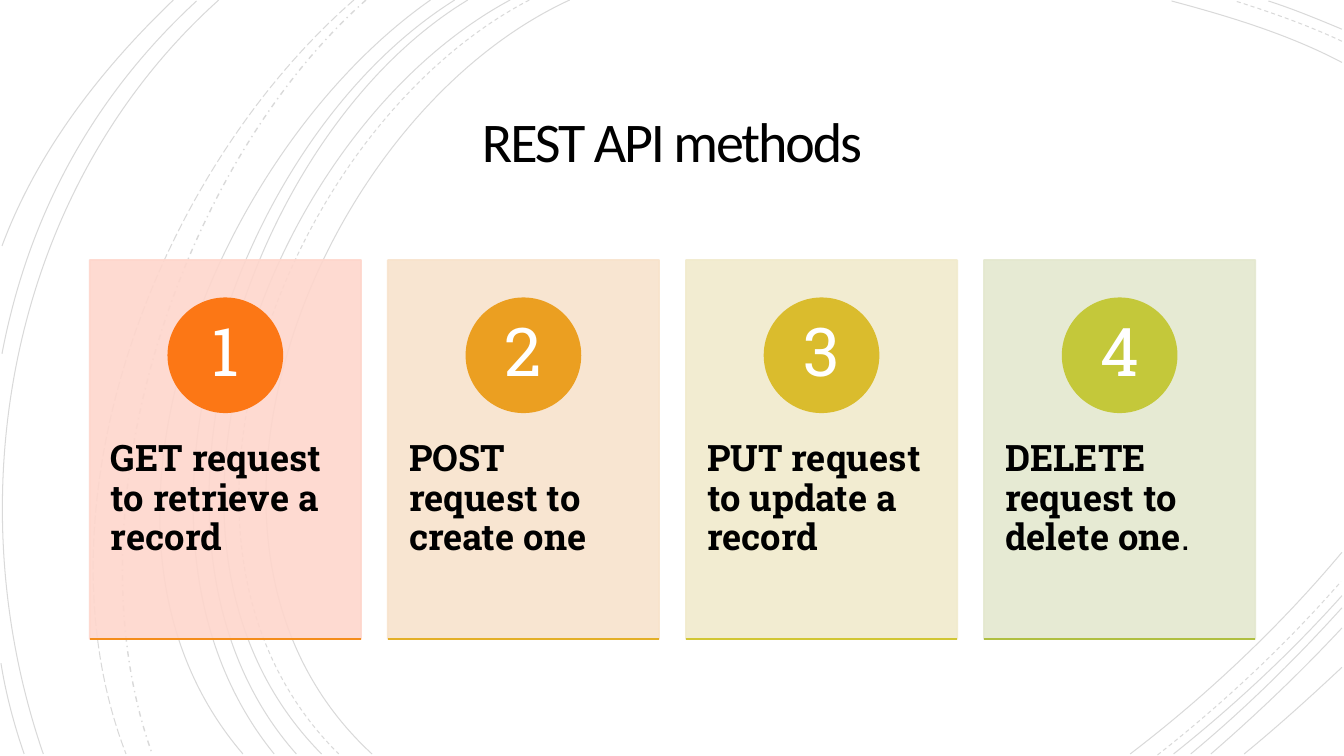
from lxml.etree import SubElement
from pptx import Presentation
from pptx.dml.color import RGBColor
from pptx.enum.dml import MSO_LINE
from pptx.enum.shapes import MSO_CONNECTOR, MSO_SHAPE
from pptx.enum.text import MSO_ANCHOR as Anchor, PP_ALIGN as Align
from pptx.oxml.ns import qn
from pptx.util import Inches, Pt

# Content
TITLE = "REST API methods"
# heading, closing text, card colour, circle colour, rule colour
CARDS = [
    ("GET request to retrieve a record", "", "FED6CC", "FC7715", "F48D1B"),
    ("POST request to create one", "", "F8E3CC", "EB9F21", "E3AF27"),
    ("PUT request to update a record", "", "F1EBCD", "DABC2D", "D1C634"),
    ("DELETE request to delete one", ".", "E4E8CF", "C4C83A", "AFBF41"),
]
# Bezier arcs by dash style: start, two control points, end
ARCS = {
    MSO_LINE.SOLID: [
        ((5.65, 0), (3.15, 1.15), (1.43, 5.4), (3.69, 7.48)),
        ((13.31, 0.62), (12.78, 0.34), (12.18, 0.16), (11.62, 0.01)),
        ((11.21, 7.48), (11.97, 6.9), (12.69, 6.22), (13.31, 5.48)),
        ((5.06, 0), (2.7, 1.27), (1.1, 5.37), (3.19, 7.48)),
        ((13.31, 0.29), (13.07, 0.19), (12.83, 0.09), (12.58, 0.01)),
        ((11.64, 7.48), (12.23, 7.01), (12.8, 6.48), (13.31, 5.91)),
        ((4.64, 0), (2.44, 1.33), (1.1, 5.41), (2.94, 7.48)),
        ((11.81, 7.48), (12.34, 7.04), (12.84, 6.55), (13.31, 6.03)),
        ((4.51, 0), (2.31, 1.38), (0.97, 5.33), (2.72, 7.48)),
        ((12.01, 7.48), (12.46, 7.09), (12.9, 6.67), (13.31, 6.23)),
        ((4.27, 0), (2.17, 1.47), (0.53, 5.29), (2.41, 7.48)),
        ((12.34, 7.48), (12.67, 7.21), (12.99, 6.92), (13.31, 6.62)),
        ((2.17, 0), (0.11, 1.85), (-0.46, 4.9), (0.43, 7.48)),
        ((1.95, 0.01), (0.92, 0.96), (0.28, 2.14), (0.02, 3.51)),
        ((0.01, 6.58), (0.06, 6.89), (0.14, 7.19), (0.24, 7.48)),
        ((1.72, 0), (1, 0.69), (0.37, 1.5), (0.02, 2.44)),
    ],
    MSO_LINE.DASH: [
        ((5.25, 0), (2.85, 1.25), (1.23, 5.37), (3.36, 7.48)),
        ((13.31, 0.41), (12.97, 0.25), (12.6, 0.12), (12.25, 0.01)),
        ((11.48, 7.49), (12.13, 6.98), (12.75, 6.4), (13.3, 5.77)),
    ],
    MSO_LINE.DASH_DOT: [((3.63, 0), (1.76, 1.66), (0.65, 5.09), (1.51, 7.48))],
    MSO_LINE.LONG_DASH: [((3.51, 0), (1.57, 1.69), (0.29, 4.99), (1.25, 7.48))],
}
THEME = {
    "ink": "000000", "paper": "FFFFFF",
    "title_font": "Calibri", "body_font": "Roboto Slab",
    "title": 40, "number": 48, "body": 26,
    "arc_line": 0.75, "dash_dot_line": 1, "card_line": 1.25,
    "arc_opacity": 15, "card_opacity": 90,
}

# Layout, in inches
SLIDE_WIDTH, SLIDE_HEIGHT = 13.33, 7.5
CARD_LEFT, CARD_TOP, CARD_WIDTH, CARD_HEIGHT = 0.89, 2.58, 2.69, 3.76
LAST_CARD_LEFT = 9.76
CARD_STEP = (LAST_CARD_LEFT - CARD_LEFT) / (len(CARDS) - 1)
CIRCLE_TOP, CIRCLE_SIZE = 2.96, 1.13
NUMBER_TOP, NUMBER_SIZE = 3.12, 0.8
TEXT_TOP, TEXT_HEIGHT = 4.01, 2.26

presentation = Presentation()
presentation.slide_width = Inches(SLIDE_WIDTH)
presentation.slide_height = Inches(SLIDE_HEIGHT)
slide = presentation.slides.add_slide(presentation.slide_layouts[6])
shapes = slide.shapes


def set_color(fill, color, opacity=100):
    fill.solid()
    fill.fore_color.rgb = RGBColor.from_string(color)
    if opacity < 100:
        for node in fill._xPr.iter(qn("a:srgbClr")):
            SubElement(node, qn("a:alpha"), val=str(opacity * 1000))


def set_line(line, color, width, opacity=100):
    line.width = Pt(width)
    set_color(line.fill, color, opacity)


def add_arc(points, dash):
    start, *others = [tuple(map(Inches, point)) for point in points]
    builder = shapes.build_freeform(*start)
    builder.add_line_segments(others, close=False)
    shape = builder.convert_to_shape()
    # Turn the three straight segments into one cubic curve
    outline = next(shape._element.iter(qn("a:path")))
    segments = outline.findall(qn("a:lnTo"))
    curve = SubElement(outline, qn("a:cubicBezTo"))
    for segment in segments:
        curve.append(segment[0])
        outline.remove(segment)
    shape.shadow.inherit = False
    shape.fill.background()
    width = THEME["dash_dot_line" if dash == MSO_LINE.DASH_DOT else "arc_line"]
    set_line(shape.line, THEME["ink"], width, THEME["arc_opacity"])
    shape.line.dash_style = dash


def add_block(kind, left, top, width, height, color, opacity=100, outlined=True):
    shape = shapes.add_shape(kind, *map(Inches, (left, top, width, height)))
    shape.shadow.inherit = False
    set_color(shape.fill, color, opacity)
    if outlined:
        set_line(shape.line, color, THEME["card_line"], opacity)
    else:
        shape.line.fill.background()


def add_text(text, left, top, width, height, *, size, font, color, bold=False, tail="",
             align=Align.LEFT, anchor=Anchor.TOP, insets=(0, 0), line_spacing=0.9,
             tracking=0):
    frame = shapes.add_textbox(*map(Inches, (left, top, width, height))).text_frame
    frame.word_wrap = True
    frame.vertical_anchor = anchor
    frame.margin_left = frame.margin_right = Inches(insets[0])
    frame.margin_top = frame.margin_bottom = Inches(insets[1])
    paragraph = frame.paragraphs[0]
    paragraph.alignment = align
    paragraph.line_spacing = line_spacing
    for part, weight in ((text, bold), (tail, False)):
        if not part:
            continue
        run = paragraph.add_run()
        run.text = part
        run.font.name, run.font.size, run.font.bold = font, Pt(size), weight
        run.font.color.rgb = RGBColor.from_string(color)
        if tracking:
            run.font._element.set("spc", str(round(tracking * 100)))


# Backdrop and arcs
add_block(MSO_SHAPE.RECTANGLE, 0, 0, SLIDE_WIDTH, SLIDE_HEIGHT, THEME["paper"],
          outlined=False)
for dash, arcs in ARCS.items():
    for points in arcs:
        add_arc(points, dash)

# Title
add_text(TITLE, 1.92, 0.87, 9.49, 1.15, size=THEME["title"], font=THEME["title_font"],
         color=THEME["ink"], align=Align.CENTER, anchor=Anchor.MIDDLE,
         insets=(0.25, 0.25), line_spacing=0.85, tracking=-1.5)

# Numbered cards
for index, (heading, tail, card_color, circle_color, rule_color) in enumerate(CARDS):
    left = CARD_LEFT + index * CARD_STEP
    add_block(MSO_SHAPE.RECTANGLE, left, CARD_TOP, CARD_WIDTH, CARD_HEIGHT,
              card_color, THEME["card_opacity"])
    add_text(heading, left, TEXT_TOP, CARD_WIDTH, TEXT_HEIGHT, tail=tail,
             size=THEME["body"], font=THEME["body_font"], color=THEME["ink"],
             bold=True, insets=(0.21, 0.36))

    center = left + CARD_WIDTH / 2
    add_block(MSO_SHAPE.OVAL, center - CIRCLE_SIZE / 2, CIRCLE_TOP,
              CIRCLE_SIZE, CIRCLE_SIZE, circle_color)
    add_text(str(index + 1), center - NUMBER_SIZE / 2, NUMBER_TOP,
             NUMBER_SIZE, NUMBER_SIZE, size=THEME["number"], font=THEME["body_font"],
             color=THEME["paper"], align=Align.CENTER, anchor=Anchor.MIDDLE,
             insets=(0.09, 0.01))

    bottom = CARD_TOP + CARD_HEIGHT
    rule = shapes.add_connector(MSO_CONNECTOR.STRAIGHT, *map(
        Inches, (left, bottom, left + CARD_WIDTH, bottom)))
    set_line(rule.line, rule_color, THEME["card_line"])
    SubElement(rule._element.spPr, qn("a:effectLst"))

presentation.save("out.pptx")
